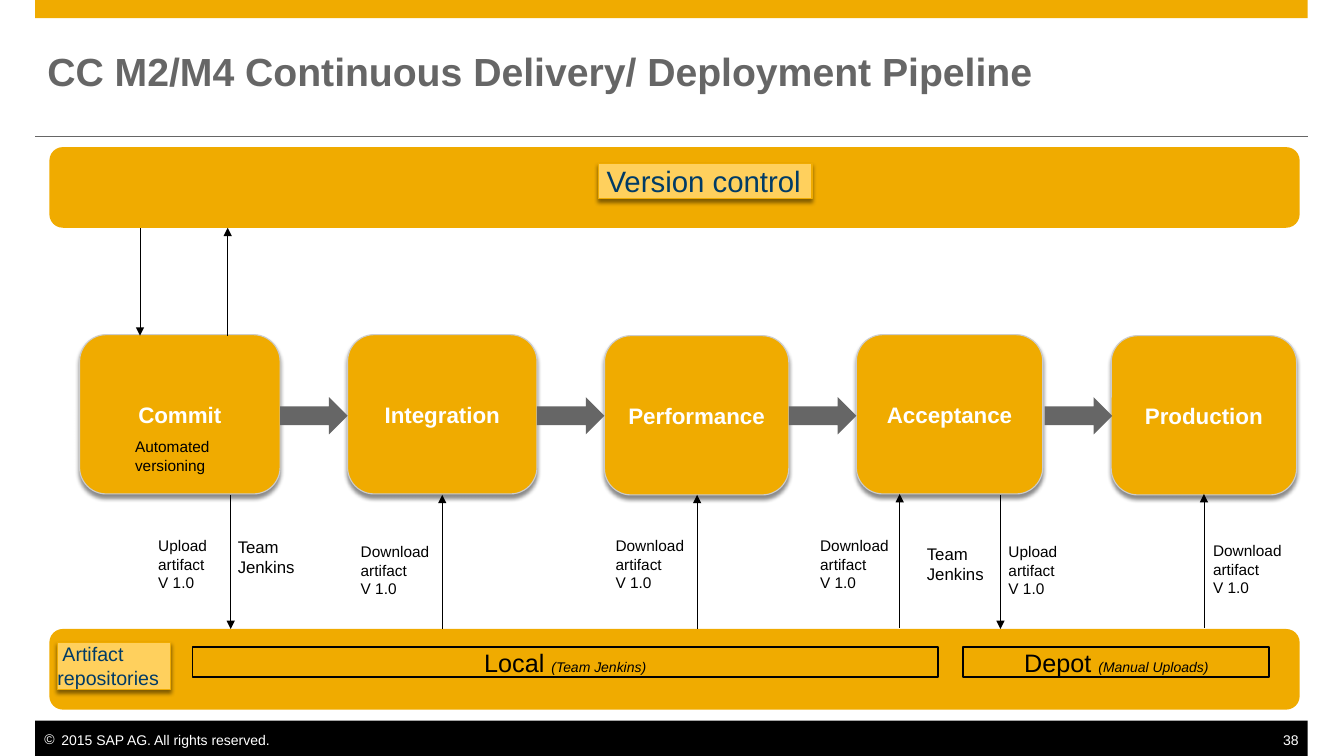
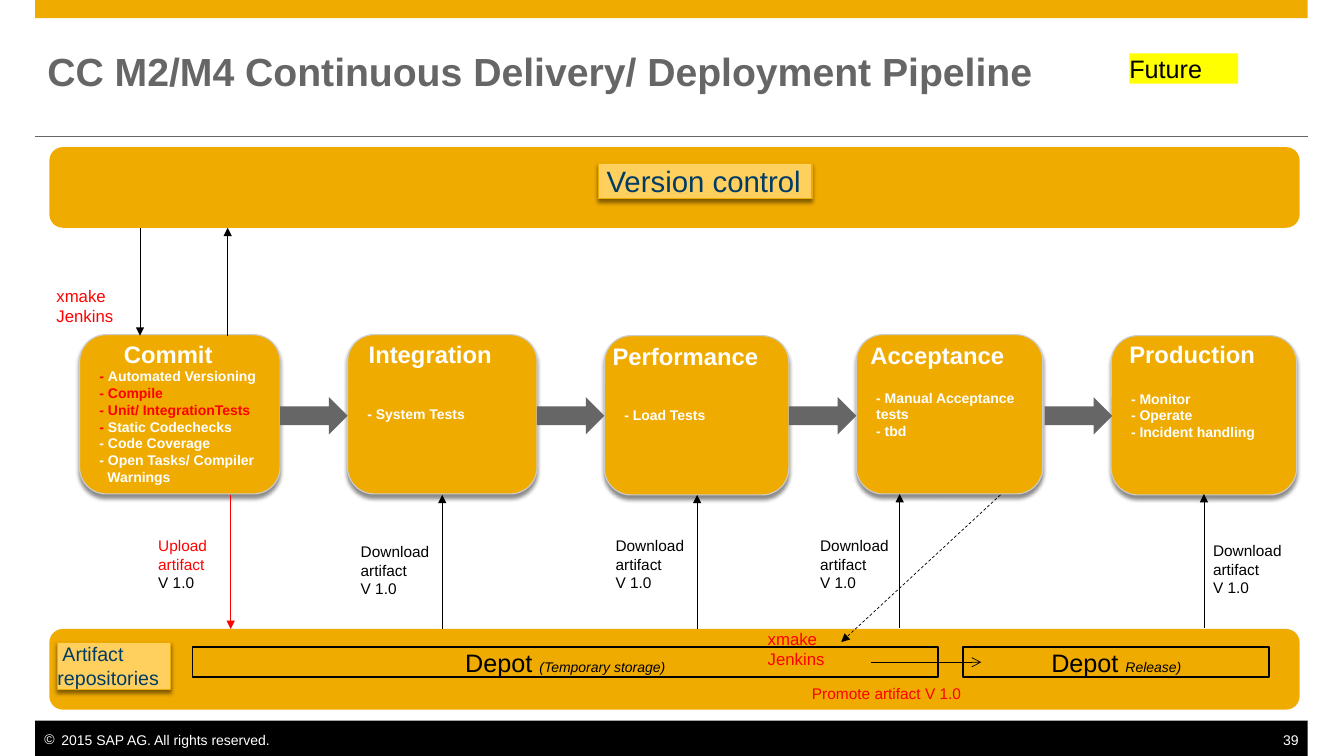
"""Build two slides of a delivery pipeline, as it is now and as it is planned."""
import lxml.etree
import pptx
import pptx.dml.color
import pptx.enum.dml
import pptx.enum.shapes
import pptx.enum.text
import pptx.oxml.ns
import pptx.util

PX = 9144
RGB = pptx.dml.color.RGBColor
GOLD = RGB(0xF0, 0xAB, 0x00)
SAND = RGB(0xFF, 0xD0, 0x5D)
GRAY = RGB(0x66, 0x66, 0x66)
SILVER = RGB(0xCC, 0xCC, 0xCC)
NAVY = RGB(0x00, 0x3B, 0x66)
BLACK = RGB(0, 0, 0)
WHITE = RGB(255, 255, 255)
RED = RGB(255, 0, 0)
YELLOW = RGB(255, 255, 0)
FORM = pptx.enum.shapes.MSO_SHAPE
RECT, ROUND, ARROW = FORM.RECTANGLE, FORM.ROUNDED_RECTANGLE, FORM.RIGHT_ARROW
LEFT = pptx.enum.text.PP_ALIGN.LEFT
MID = pptx.enum.text.PP_ALIGN.CENTER
RIGHT = pptx.enum.text.PP_ALIGN.RIGHT
TOP = pptx.enum.text.MSO_ANCHOR.TOP
CENTER = pptx.enum.text.MSO_ANCHOR.MIDDLE
DASH = pptx.enum.dml.MSO_LINE.DASH
qn = pptx.oxml.ns.qn


def box(slide, at, text="", size=11, color=BLACK, bold=False, kind=None, fill=None,
        edge=None, width=0.79, shade=False, pad=(0, 0, 0, 0), anchor=TOP, align=LEFT):
    """Add a shape or text box; text is a string or a list of lines of (text, format) runs."""
    at = [n * PX for n in at]
    if kind is None:
        shape = slide.shapes.add_textbox(*at)
    else:
        shape = slide.shapes.add_shape(kind, *at)
        shape.shadow.inherit = False
        if fill is None:
            shape.fill.background()
        else:
            shape.fill.solid()
            shape.fill.fore_color.rgb = fill
        if edge is None:
            shape.line.fill.background()
        else:
            shape.line.color.rgb = edge
            shape.line.width = pptx.util.Pt(width)
    if shade:
        cast = lxml.etree.SubElement(
            shape.element.spPr.find(qn("a:effectLst")), qn("a:outerShdw"),
            blurRad="38100", dist="30480", dir="5400000", algn="t", rotWithShape="0")
        tint = lxml.etree.SubElement(cast, qn("a:srgbClr"), val="000000")
        lxml.etree.SubElement(tint, qn("a:alpha"), val="45000")
    if not text:
        return shape
    frame = shape.text_frame
    sides = ("margin_left", "margin_top", "margin_right", "margin_bottom")
    form = {"word_wrap": True, "vertical_anchor": anchor}
    form.update(zip(sides, [n * PX for n in pad]))
    for key, val in form.items():
        setattr(frame, key, val)
    if isinstance(text, str):
        text = [[(line, {})] for line in text.split("\n")]
    for i, line in enumerate(text):
        para = frame.add_paragraph() if i else frame.paragraphs[0]
        para.alignment = align
        for words, extra in line:
            run = para.add_run()
            run.text = words
            look = {"name": "Arial", "size": size, "bold": bold, "color": color} | extra
            run.font.color.rgb = look.pop("color")
            look["size"] = pptx.util.Pt(look["size"])
            for key, val in look.items():
                setattr(run.font, key, val)
    return shape


def link(slide, ends, color=BLACK, tip="triangle", dash=None):
    """Add a thin line that may end in an arrowhead."""
    line = slide.shapes.add_connector(
        pptx.enum.shapes.MSO_CONNECTOR.STRAIGHT, *[n * PX for n in ends])
    line.line.color.rgb = color
    line.line.width = pptx.util.Pt(0.5)
    if dash:
        line.line.dash_style = dash
    prop = line.element.spPr
    if tip:
        lxml.etree.SubElement(prop.find(qn("a:ln")), qn("a:tailEnd"), type=tip)
    lxml.etree.SubElement(prop, qn("a:effectLst"))


red = {"color": RED}
CARDS = [
    ("Commit", (79, 332, 199, 158), (123, 337), [
        [("- ", red), ("Automated Versioning", {})],
        [("- Compile", red)],
        [("- Unit/ IntegrationTests", red)],
        [("- ", red), ("Static Codechecks", {})],
        [("- Code Coverage", {})],
        [("- Open Tasks/ Compiler Warnings", {})]]),
    ("Integration", (345, 332, 188, 158), (366, 337), "- System Tests"),
    ("Performance", (600, 333, 183, 158), (608, 339), "- Load Tests"),
    ("Acceptance", (850, 332, 185, 158), (864, 338), "- Manual Acceptance tests\n- tbd"),
    ("Production", (1103, 333, 184, 158), (1121, 337),
     "- Monitor\n- Operate\n- Incident handling"),
]
STORES = [
    [((191, 642, 740, 30), "Local ", "(Team Jenkins)"),
     ((956, 642, 304, 30), "Depot ", "(Manual Uploads)")],
    [((191, 642, 740, 30), "Depot ", "(Temporary storage)"),
     ((956, 642, 304, 30), "Depot ", "Release)")],
]
LOADS = [(358, 538), (611, 532), (814, 532), (1204, 537)]
LINKS = [
    (139, 226, 139, 333), (226, 333, 226, 226), (439, 624, 439, 491),
    (692, 624, 692, 491), (893, 623, 893, 490), (1195, 623, 1195, 490),
]

deck = pptx.Presentation()
deck.slide_width = 1334 * PX
deck.slide_height = 750 * PX

for page, stores in enumerate(STORES):
    future = page == 1
    slide = deck.slides.add_slide(deck.slide_layouts[6])

    box(slide, (35, 0, 1263, 18), kind=RECT, fill=GOLD)
    link(slide, (35, 135, 1298, 135), GRAY, None)
    box(slide, (35, 715, 1263, 35), kind=RECT, fill=BLACK)
    foot = box(slide, (35, 726, 300, 17), "2015 SAP AG. All rights reserved.", 10, WHITE,
               pad=(9, 0, 0, 0))
    prop = foot.text_frame.paragraphs[0]._p.get_or_add_pPr()
    prop.set("marL", str(17 * PX))
    prop.set("indent", str(-17 * PX))
    tint = lxml.etree.SubElement(prop, qn("a:buClr"))
    lxml.etree.SubElement(tint, qn("a:srgbClr"), val="FFFFFF")
    lxml.etree.SubElement(prop, qn("a:buFont"), typeface="Arial")
    lxml.etree.SubElement(prop, qn("a:buChar"), char="©")
    box(slide, (1261, 726, 37, 17), str(38 + page), 10, WHITE, pad=(0, 0, 9, 0), align=RIGHT)
    box(slide, (47, 35, 1239, 70), "CC M2/M4 Continuous Delivery/ Deployment Pipeline",
        28, GRAY, True, anchor=CENTER)

    for top in (146, 624):
        box(slide, (49, top, 1241, 80), kind=ROUND, fill=GOLD)
    box(slide, (594, 162, 212, 35), "Version control", 21, NAVY, kind=RECT, fill=SAND,
        edge=GOLD, shade=True, pad=(8, 0, 0, 0))
    tag = box(slide, (57, 637, 112, 47), "Artifact repositories", 14, NAVY, kind=RECT,
              fill=SAND, edge=GOLD, shade=True)
    tag.text_frame.paragraphs[0]._p.get_or_add_pPr().set("indent", str(5 * PX))

    for name, at, head, tasks in CARDS:
        look = dict(color=WHITE, bold=True, kind=ROUND, fill=GOLD, edge=SILVER, shade=True)
        if not future:
            box(slide, at, name, 16, pad=(12, 9, 12, 9), anchor=CENTER, align=MID, **look)
        elif name == "Commit":
            card = box(slide, at, tasks, 10, pad=(12, 25, 12, 0), **look)
            prop = card.text_frame.paragraphs[-1]._p.get_or_add_pPr()
            prop.set("marL", str(8 * PX))
            prop.set("indent", str(-8 * PX))
        else:
            box(slide, at, tasks, 10, pad=(12, 9, 12, 9), anchor=CENTER, **look)
        if future:
            box(slide, (*head, 160, 29), name, 17, WHITE, True)
    for left in (278, 533, 783, 1037):
        box(slide, (left, 394, 67, 37), kind=ARROW, fill=GRAY)

    for ends in LINKS:
        link(slide, ends)
    link(slide, (229, 491, 229, 624), RED if future else BLACK)
    for at, name, note in stores:
        box(slide, at, [[(name, {"size": 18}), (note, {"size": 10, "italic": True})]],
            kind=RECT, edge=BLACK, width=1.25, align=MID)
    for spot in LOADS:
        box(slide, (*spot, 72, 56), "Download artifact\nV 1.0")

    if future:
        box(slide, (157, 532, 72, 56), [[("Upload artifact", red)], [("V 1.0", {})]])
        link(slide, (993, 491, 835, 637), dash=DASH)
        link(slide, (865, 657, 974, 657), tip="arrow")
        box(slide, (1121, 53, 108, 30), "Future", 18, kind=RECT, fill=YELLOW)
        box(slide, (806, 679, 160, 19), "Promote artifact V 1.0", color=RED)
        teams, crew, tone = [(56, 283), (762, 624)], "xmake\nJenkins", RED
    else:
        box(slide, (134, 434, 89, 37), "Automated versioning")
        link(slide, (993, 491, 993, 624))
        for spot in ((157, 532), (1001, 538)):
            box(slide, (*spot, 72, 56), "Upload artifact\nV 1.0")
        teams, crew, tone = [(236, 532), (920, 539)], "Team\nJenkins", BLACK
    for spot in teams:
        box(slide, (*spot, 109, 40), crew, 12, tone)

deck.save("out.pptx")
